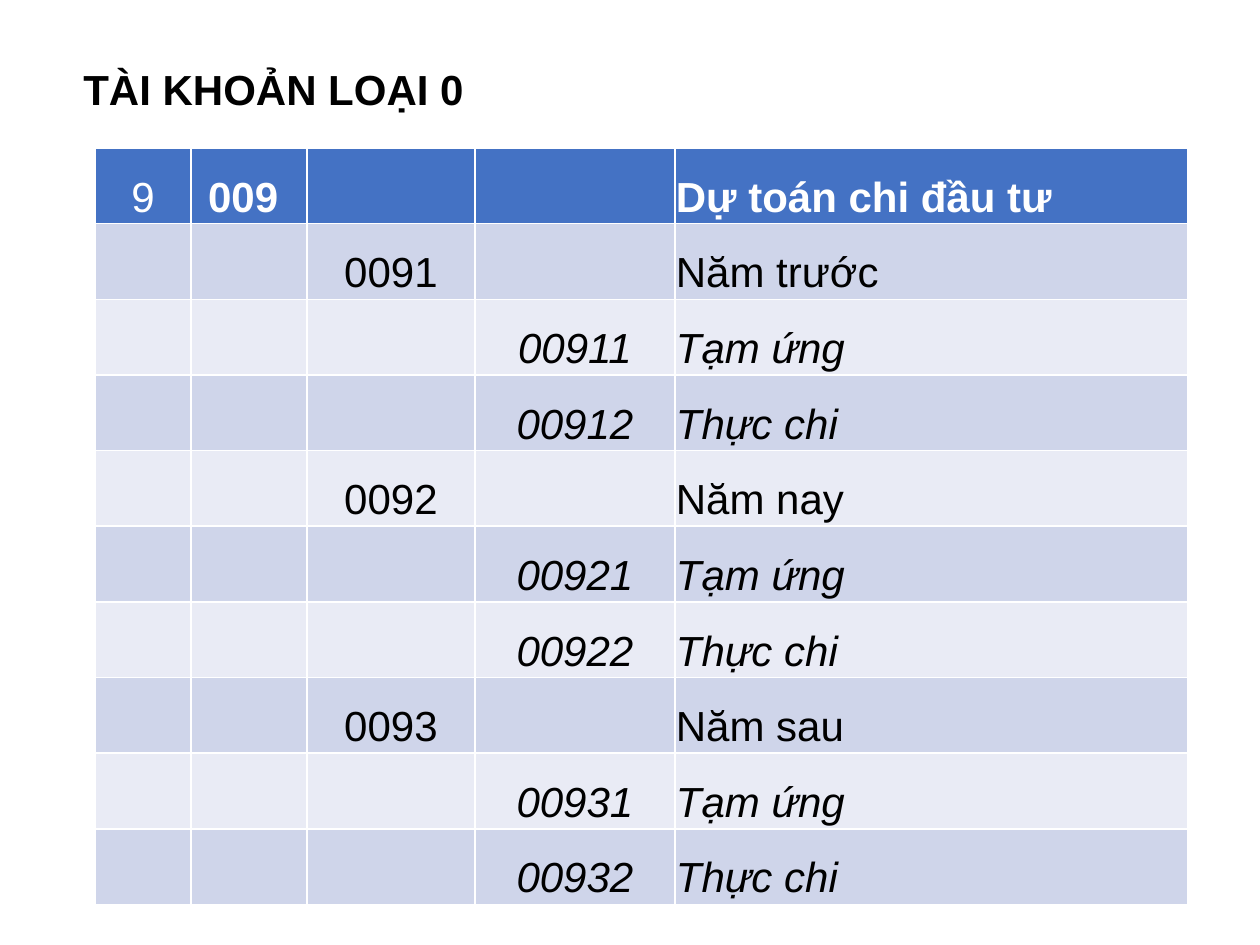
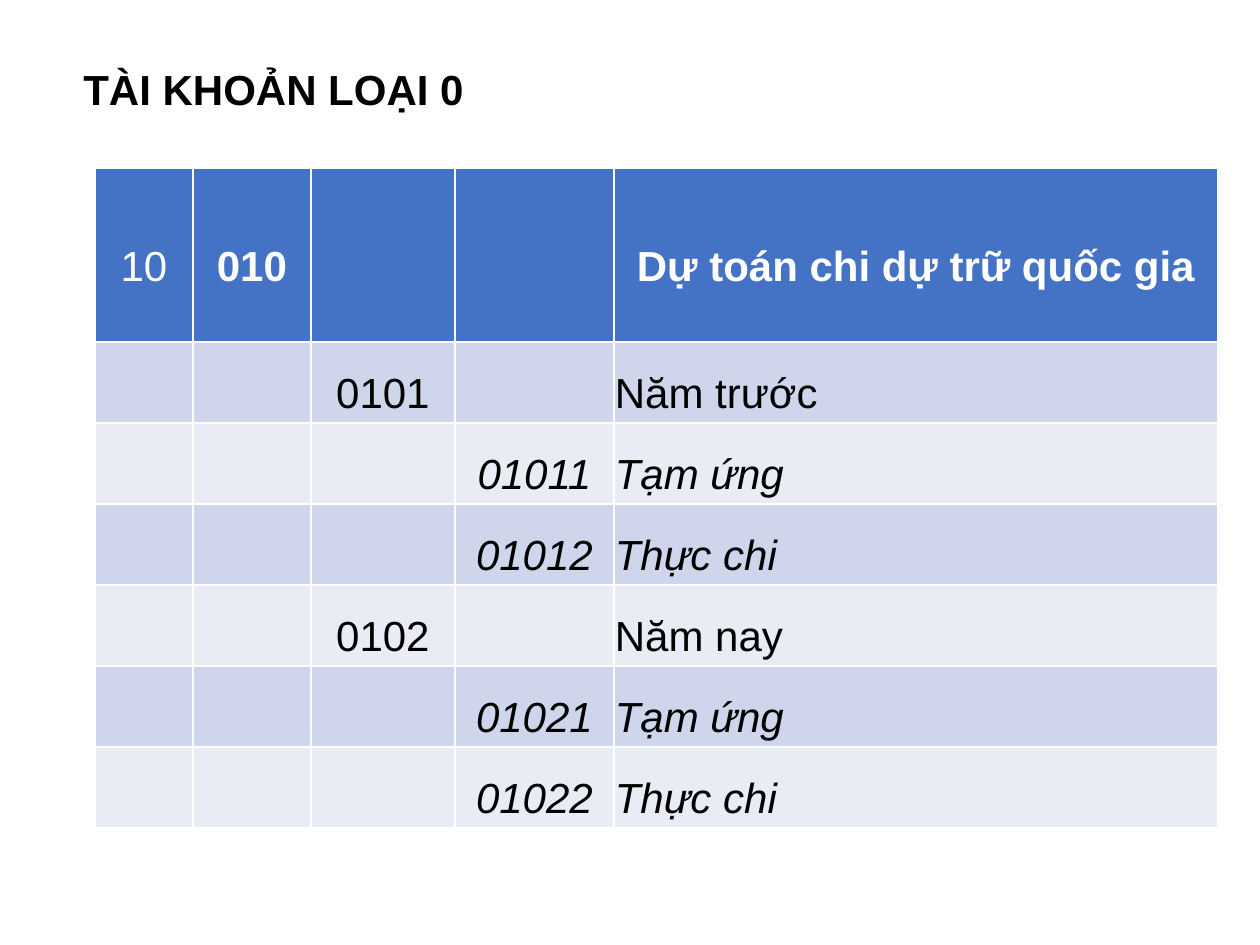
from pptx import Presentation
from pptx.dml.color import RGBColor as Rgb
from pptx.enum.text import MSO_ANCHOR as Anchor, MSO_AUTO_SIZE as Auto, PP_ALIGN as Align
from pptx.util import Pt

SCALE = 914400 / 126
HUES = {"ink": "000000", "white": "FFFFFF", "head": "4472C4",
        "odd": "CFD5EA", "even": "E9EBF5"}
FONT = "Arial"
TITLE = "TÀI KHOẢN LOẠI 0"
YEARS = ["Năm trước", "Năm nay", "Năm sau"]
PARTS = ["Tạm ứng", "Thực chi"]


def px(count):
    """Turn px into EMU."""
    return round(count * SCALE)


def hue(name):
    """Look up a colour by name."""
    return Rgb.from_string(HUES[name])


def style(para, color="ink", bold=False, italic=False):
    """Format the runs of a paragraph."""
    for run in para.runs:
        font = run.font
        font.name, font.size = FONT, Pt(24)
        font.bold, font.italic = bold, italic
        font.color.rgb = hue(color)


def add_title(slide):
    """Add the shared slide title."""
    box = slide.shapes.add_textbox(px(71), px(57), px(406), px(63))
    frame = box.text_frame
    frame.word_wrap = False
    frame.auto_size = Auto.SHAPE_TO_FIT_TEXT
    frame.text = TITLE
    style(frame.paragraphs[0], bold=True)


def fill_cell(cell, text, align, **look):
    """Write formatted text into a table cell."""
    cell.vertical_anchor = Anchor.MIDDLE
    cell.margin_left = cell.margin_right = px(1)
    cell.margin_top = cell.margin_bottom = 0
    para = cell.text_frame.paragraphs[0]
    para.text = text
    para.alignment = align
    para.line_spacing = 1.5
    style(para, **look)


def list_rows(code, years):
    """List column, number, name and italic flag of each account row."""
    rows = []
    for num, year in enumerate(years, 1):
        rows.append((2, f"{code}{num}", year, False))
        rows += [(3, f"{code}{num}{sub}", part, True)
                 for sub, part in enumerate(PARTS, 1)]
    return rows


def add_chart_of_accounts(slide, top, widths, heights, head, align, rows):
    """Add the account table with a header and banded rows."""
    first, rest = heights
    frame = slide.shapes.add_table(len(rows) + 1, len(widths), px(95), px(top),
                                   px(sum(widths)), px(first + rest * len(rows)))
    table = frame.table
    for col, width in zip(table.columns, widths):
        col.width = px(width)
    for index, row in enumerate(table.rows):
        row.height = px(rest if index else first)
        band = ("odd" if index % 2 else "even") if index else "head"
        for cell in row.cells:
            cell.fill.solid()
            cell.fill.fore_color.rgb = hue(band)
    order, code, name = head
    fill_cell(table.cell(0, 0), order, Align.CENTER, color="white")
    fill_cell(table.cell(0, 1), code, Align.CENTER, color="white", bold=True)
    fill_cell(table.cell(0, 4), name, align, color="white", bold=True)
    for index, (col, num, label, italic) in enumerate(rows, 1):
        fill_cell(table.cell(index, col), num, Align.CENTER, italic=italic)
        fill_cell(table.cell(index, 4), label, Align.LEFT, italic=italic)


def main():
    """Build and save both slides."""
    deck = Presentation()
    deck.slide_width, deck.slide_height = px(1260), px(945)
    pages = [
        (148, [96, 116, 168, 200, 513], (68, 68),
         ("9", "009 ", "Dự toán chi đầu tư"), Align.LEFT, list_rows("009", YEARS)),
        (168, [98, 118, 144, 159, 604], (174, 81),
         ("10", "010", "Dự toán chi dự trữ quốc gia"), Align.CENTER,
         list_rows("010", YEARS[:2])),
    ]
    for page in pages:
        slide = deck.slides.add_slide(deck.slide_layouts[6])
        add_title(slide)
        add_chart_of_accounts(slide, *page)
    deck.save("out.pptx")


if __name__ == "__main__":
    main()
